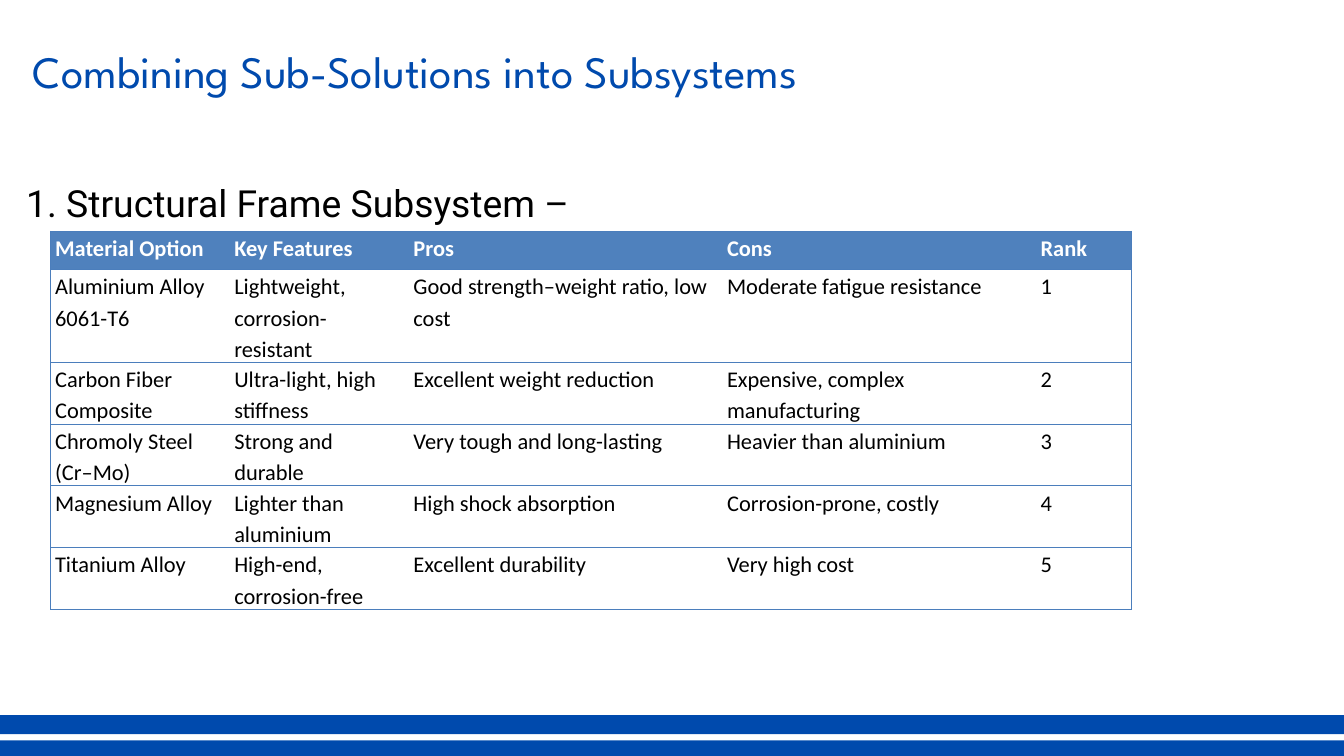
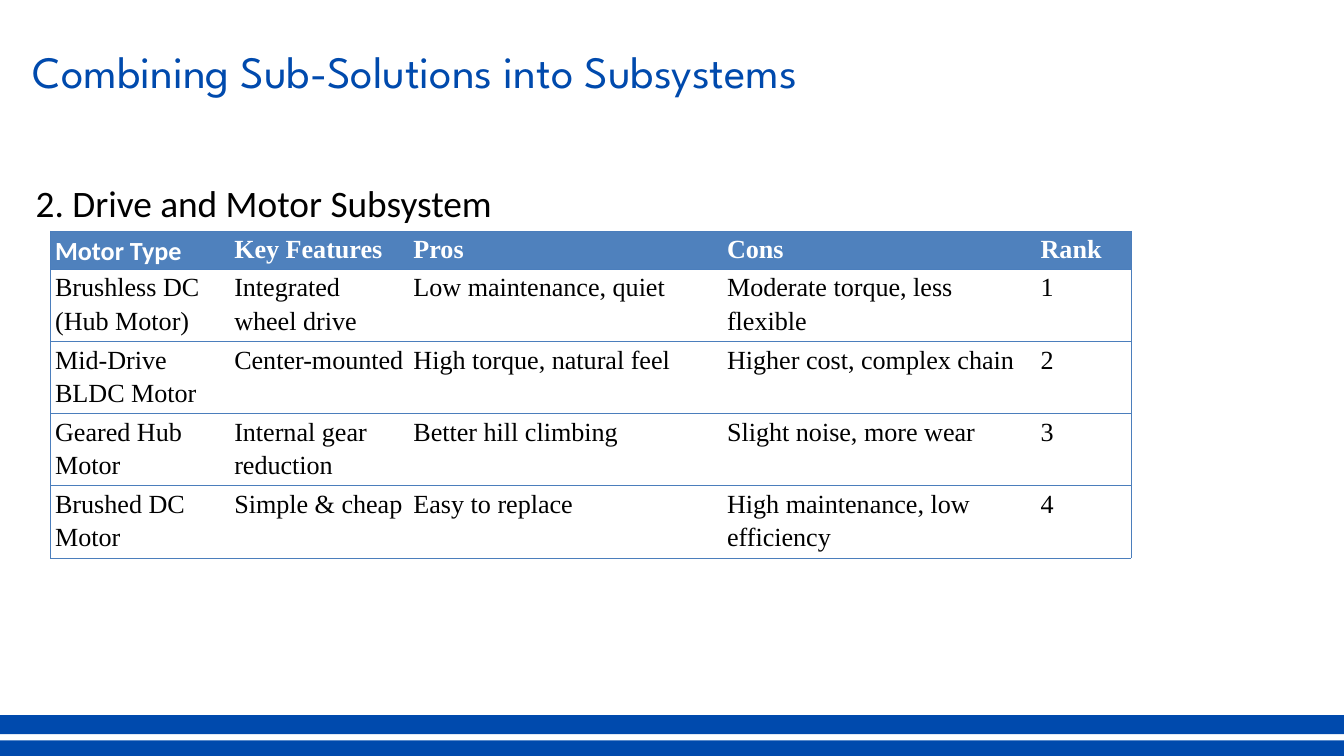
from lxml import etree
from pptx import Presentation
from pptx import util as u
from pptx.dml.color import RGBColor
from pptx.enum import shapes, text
from pptx.oxml.ns import qn

BLUE, HEADER, RULE, WHITE, BLACK = "004AAD", "4F81BD", "4B7EBC", "FFFFFF", "000000"
TITLE = "Combining Sub-Solutions into Subsystems"

deck = Presentation()
deck.slide_width, deck.slide_height = u.Inches(20), u.Inches(11.25)

# Grid: 60 columns by 100 rows
COL, ROW = deck.slide_width / 60, deck.slide_height / 100
LEFT = 1.17
COLUMN_SPANS = [8, 8, 14, 14, 4.25]
BAND_ROWS = [97.95, 94.6]


def color(value):
    return RGBColor.from_string(value)


def write(frame, words, font, size, ink, bold=False):
    frame.word_wrap = True
    frame.text = words
    paragraph = frame.paragraphs[0]
    style = paragraph.runs[0].font
    style.name, style.size, style.bold = font, u.Pt(size), bold
    style.color.rgb = color(ink)
    return paragraph


subsystems = [
    {
        "heading": "1. Structural Frame Subsystem –", "heading_font": "Roboto", "indent": 0,
        "font": "Calibri", "size": 24,
        "options": [
            ["Material Option", "Key Features", "Pros", "Cons", "Rank"],
            ["Aluminium Alloy 6061-T6", "Lightweight, corrosion-resistant",
             "Good strength–weight ratio, low cost", "Moderate fatigue resistance", "1"],
            ["Carbon Fiber Composite", "Ultra-light, high stiffness",
             "Excellent weight reduction", "Expensive, complex manufacturing", "2"],
            ["Chromoly Steel (Cr–Mo)", "Strong and durable",
             "Very tough and long-lasting", "Heavier than aluminium", "3"],
            ["Magnesium Alloy", "Lighter than aluminium",
             "High shock absorption", "Corrosion-prone, costly", "4"],
            ["Titanium Alloy", "High-end, corrosion-free",
             "Excellent durability", "Very high cost", "5"],
        ],
    },
    {
        "heading": "2. Drive and Motor Subsystem", "heading_font": "Calibri", "indent": 0.14,
        "font": "Times New Roman", "size": 28,
        "options": [
            ["Motor Type", "Key Features", "Pros", "Cons", "Rank"],
            ["Brushless DC (Hub Motor)", "Integrated wheel drive",
             "Low maintenance, quiet", "Moderate torque, less flexible", "1"],
            ["Mid-Drive BLDC Motor", "Center-mounted",
             "High torque, natural feel", "Higher cost, complex chain", "2"],
            ["Geared Hub Motor", "Internal gear reduction",
             "Better hill climbing", "Slight noise, more wear", "3"],
            ["Brushed DC Motor", "Simple & cheap",
             "Easy to replace", "High maintenance, low efficiency", "4"],
        ],
    },
]

for subsystem in subsystems:
    slide = deck.slides.add_slide(deck.slide_layouts[6])
    slide.background.fill.solid()
    slide.background.fill.fore_color.rgb = color(WHITE)

    # Subsystem heading
    heading = slide.shapes.add_textbox(
        int(LEFT * COL), int(20.8 * ROW), int(31.7 * COL), int(8 * ROW)).text_frame
    heading.margin_top = heading.margin_right = heading.margin_bottom = 0
    heading.margin_left = u.Inches(subsystem["indent"])
    line = write(heading, subsystem["heading"], subsystem["heading_font"], 40, BLACK)
    line.line_spacing = u.Pt(72.1)

    # Slide title
    title = slide.shapes.add_textbox(
        int(LEFT * COL), int(5.35 * ROW), int(42.24 * COL), int(21.87 * ROW)).text_frame
    write(title, TITLE, "League Spartan", 48, BLUE)

    # Comparison table
    options = subsystem["options"]
    comparison = slide.shapes.add_table(
        len(options), len(COLUMN_SPANS), int(2.25 * COL), int(30.58 * ROW),
        int(sum(COLUMN_SPANS) * COL), int(5.05 * ROW * len(options))).table
    comparison.horz_banding = False
    for column, span in zip(comparison.columns, COLUMN_SPANS):
        column.width = int(span * COL)

    for r, option in enumerate(options):
        for c, words in enumerate(option):
            cell = comparison.cell(r, c)
            cell.margin_left = cell.margin_right = u.Inches(0.07)
            cell.margin_top = cell.margin_bottom = 0
            cell.vertical_anchor = text.MSO_ANCHOR.TOP
            first_cell = r == c == 0
            entry = write(cell.text_frame, words,
                          "Calibri" if first_cell else subsystem["font"],
                          subsystem["size"], BLACK if r else WHITE, bold=r == 0)
            entry.line_spacing = 1.15
            entry.space_after = u.Pt(10)

            # Rules between rows and around the table, none between columns
            ruled = {"lnL": c == 0, "lnR": c == len(option) - 1, "lnT": True, "lnB": True}
            properties = cell._tc.get_or_add_tcPr()
            for side, visible in ruled.items():
                edge = etree.SubElement(properties, qn("a:" + side), w=str(u.Pt(0.75)))
                if visible:
                    paint = etree.SubElement(edge, qn("a:solidFill"))
                    etree.SubElement(paint, qn("a:srgbClr"), val=RULE)
                else:
                    etree.SubElement(edge, qn("a:noFill"))

            if r == 0:
                cell.fill.solid()
                cell.fill.fore_color.rgb = color(HEADER)
            else:
                cell.fill.background()

    # Footer bands
    for top in BAND_ROWS:
        band = slide.shapes.add_shape(
            shapes.MSO_SHAPE.RECTANGLE, int(-0.38 * COL), int(top * ROW),
            int(60.75 * COL), int(2.5 * ROW))
        band.shadow.inherit = False
        band.fill.solid()
        band.fill.fore_color.rgb = color(BLUE)
        band.line.fill.background()

deck.save("out.pptx")
